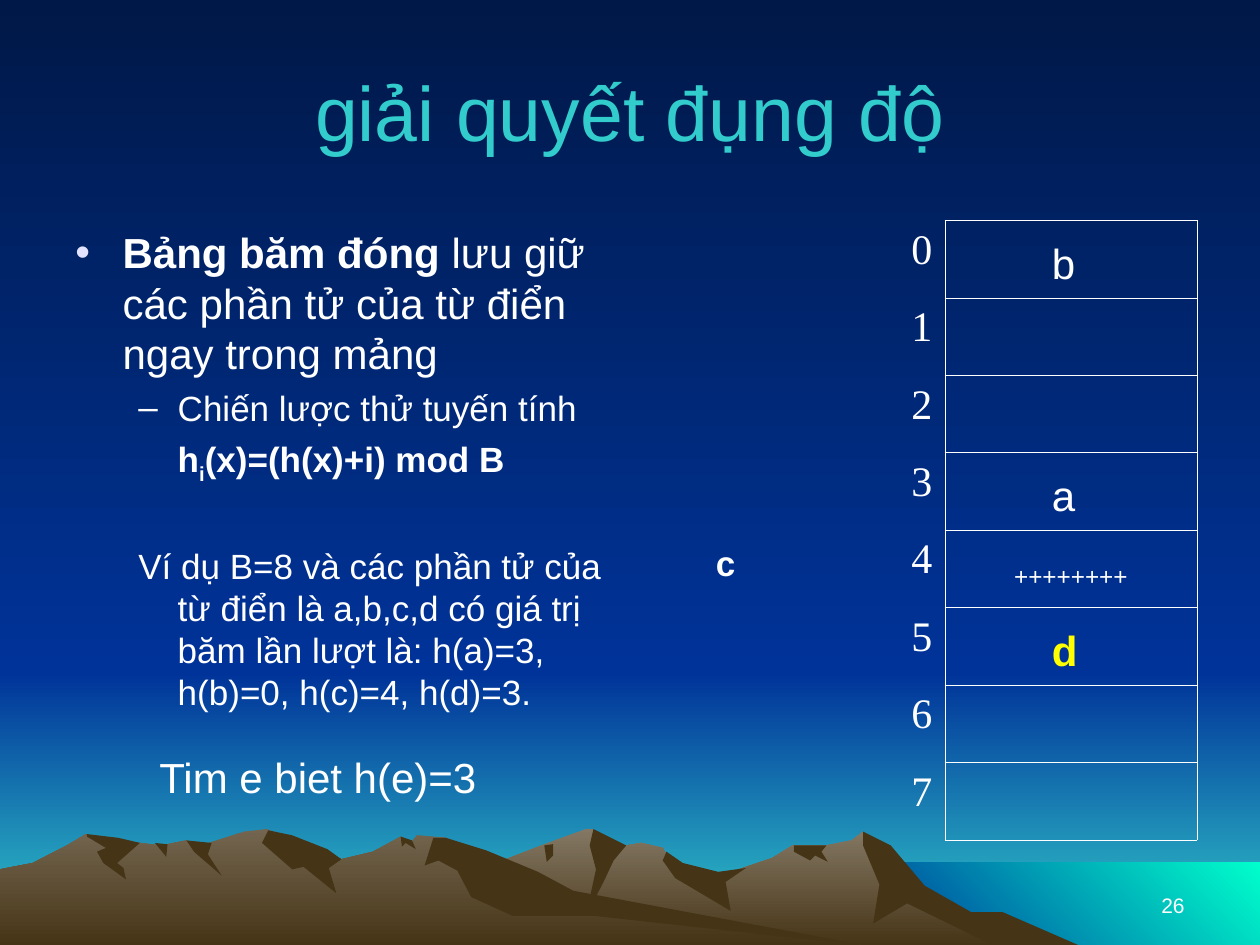
from dataclasses import dataclass

from lxml import etree
from pptx import Presentation
from pptx.dml.color import RGBColor
from pptx.enum.shapes import MSO_SHAPE
from pptx.enum.text import MSO_ANCHOR, PP_ALIGN
from pptx.oxml import parse_xml
from pptx.oxml.ns import nsdecls, qn
from pptx.util import Pt

RECTANGLE = MSO_SHAPE.RECTANGLE
LEFT, CENTER, RIGHT = PP_ALIGN.LEFT, PP_ALIGN.CENTER, PP_ALIGN.RIGHT
TOP, MIDDLE, BOTTOM = MSO_ANCHOR.TOP, MSO_ANCHOR.MIDDLE, MSO_ANCHOR.BOTTOM
DOWN, UP_RIGHT = 270, 45
TITLE_ONLY = 5
PLAIN_TABLE_STYLE = "{2D5ABB26-0587-4C30-8999-92F81FD0307C}"
COLORS = {
    "night": "001847", "blue": "003399", "teal": "33CCCC", "mint": "00FFCC",
    "rock": "463416", "sunlit": "847864", "haze": "73654F",
    "white": "FFFFFF", "yellow": "FFFF00", "bullet": "E3E3FF",
}

WIDTH, HEIGHT, MARGIN = 720, 540, 36
HORIZON = 384
SEA_LEFT, SEA_TOP = 492, 493

TABLE_LEFT, TABLE_TOP = 468, 126
NUMBER_WIDTH, SLOT_WIDTH = 72, 144
SLOT_COUNT, SLOT_HEIGHT = 8, 44.25
SLOT_TEXT_LEFT, SLOT_TEXT_DROP = 594, 6
STORED = {0: ("b", "white", False), 3: ("a", "white", False), 5: ("d", "yellow", True)}
COLLISION_ROW, COLLISION_MARK = 4, "++++++++"

MOUNTAIN_UNIT = Pt(0.72)
MOUNTAIN_FOOT = 751
FAR_SKYLINE = [
    (258, 751), (327, 709), (355, 698), (394, 685), (430, 671), (465, 658), (471, 658),
    (486, 673), (509, 669), (526, 673), (536, 690), (566, 697), (613, 681), (629, 671),
    (656, 671), (676, 667), (685, 660), (702, 671), (723, 698), (764, 723), (778, 727), (821, 751),
]
FAR_SHADOWS = {
    "east slope": [(685, 660), (707, 671), (734, 703), (771, 724), (796, 724), (858, 751),
                   (792, 752), (720, 717), (693, 733), (698, 702), (685, 671)],
    "main peak": [(471, 658), (497, 671), (487, 683), (479, 700), (465, 727), (473, 690), (468, 671)],
    "saddle": [(529, 676), (542, 685), (570, 692), (592, 689), (576, 700), (580, 723), (536, 697), (526, 683)],
    "east notch": [(630, 671), (656, 671), (652, 676), (657, 684), (647, 679), (643, 683), (630, 676)],
    "west notch": [(432, 671), (439, 670), (439, 679), (434, 684)],
}
NEAR_SKYLINE = [
    (0, 690), (26, 685), (53, 671), (68, 662), (94, 671), (111, 669), (128, 671), (148, 667),
    (160, 671), (194, 660), (212, 658), (223, 663), (236, 681), (260, 676), (271, 682), (296, 676),
    (318, 664), (327, 668), (331, 663), (354, 665), (432, 712), (667, 748), (690, 751),
]
NEAR_SHADOWS = {
    "main peak": [(213, 659), (232, 663), (260, 674), (271, 682), (261, 689), (267, 709),
                  (241, 688), (232, 690), (208, 669)],
    "east slope": [(344, 665), (354, 665), (386, 675), (427, 692), (455, 707), (690, 751), (472, 727),
                   (407, 727), (374, 712), (363, 691), (348, 683), (337, 687)],
    "east notch": [(318, 664), (327, 667), (330, 674), (322, 669), (319, 672)],
    "middle notch": [(148, 667), (168, 669), (165, 678), (176, 695), (154, 676)],
    "small notch": [(123, 669), (133, 670), (132, 680)],
    "west peak": [(69, 662), (94, 665), (111, 669), (93, 685), (98, 689), (100, 698), (82, 685),
                  (77, 676), (84, 673), (69, 664)],
}


@dataclass
class Piece:
    text: str
    bold: bool = False
    subscript: bool = False


@dataclass
class BodyLine:
    pieces: list
    size: int = 20
    margin: float = 58.5
    indent: float = -22.5
    space_before: float = 5
    bullet: str = ""
    bullet_color: str = "white"


BODY = [
    BodyLine([Piece("Bảng băm đóng", bold=True), Piece(" lưu giữ các phần tử của từ điển ngay trong mảng")],
             size=24, margin=27, indent=-27, space_before=0, bullet="•", bullet_color="bullet"),
    BodyLine([Piece("Chiến lược thử tuyến tính")], bullet="–"),
    BodyLine([Piece("h", bold=True), Piece("i", bold=True, subscript=True),
              Piece("(x)=(h(x)+i) mod B", bold=True)], indent=0),
    BodyLine([Piece("Ví dụ B=8 và các phần tử của từ điển là a,b,c,d có giá trị băm lần lượt là: "
                    "h(a)=3, h(b)=0, h(c)=4, h(d)=3.")], space_before=34),
]


def color(name):
    return RGBColor.from_string(COLORS[name])


def paint(fill, names, angle=DOWN):
    if len(names) == 1:
        fill.solid()
        fill.fore_color.rgb = color(names[0])
        return
    fill.gradient()
    fill.gradient_angle = angle
    for stop, name in zip(fill.gradient_stops, names):
        stop.color.rgb = color(name)


def finish_shape(shape, names, angle=DOWN):
    shape.shadow.inherit = False
    shape.line.fill.background()
    paint(shape.fill, names, angle)


def add_panel(slide, left, top, right, bottom, names, angle=DOWN):
    shape = slide.shapes.add_shape(RECTANGLE, Pt(left), Pt(top), Pt(right - left), Pt(bottom - top))
    finish_shape(shape, names, angle)


def add_outline(slide, points, names):
    builder = slide.shapes.build_freeform(*points[0], scale=MOUNTAIN_UNIT)
    builder.add_line_segments(points[1:], close=True)
    finish_shape(builder.convert_to_shape(), names)


def add_mountain_range(slide, skyline, shadows, light):
    foot = [(skyline[-1][0], MOUNTAIN_FOOT), (skyline[0][0], MOUNTAIN_FOOT)]
    add_outline(slide, skyline + foot, (light, "rock"))
    for shadow in shadows.values():
        add_outline(slide, shadow, ("rock",))


def add_scenery(slide):
    paint(slide.background.fill, ("night", "blue"))
    add_panel(slide, 0, HORIZON, WIDTH, HEIGHT, ("blue", "teal"))
    add_panel(slide, 0, 0, WIDTH, HORIZON, ("night", "blue"))
    add_panel(slide, SEA_LEFT, SEA_TOP, WIDTH, HEIGHT, ("blue", "mint"), UP_RIGHT)
    add_mountain_range(slide, FAR_SKYLINE, FAR_SHADOWS, "sunlit")
    add_mountain_range(slide, NEAR_SKYLINE, NEAR_SHADOWS, "haze")


def style_run(run, size, name="white", bold=False, subscript=False, font="Arial"):
    run.font.name = font
    run.font.size = Pt(size)
    run.font.bold = bold
    run.font.color.rgb = color(name)
    if subscript:
        run.font._element.set("baseline", "-25000")


def write_line(frame, text, size, align=LEFT, **style):
    frame.text = text
    paragraph = frame.paragraphs[0]
    paragraph.alignment = align
    style_run(paragraph.runs[0], size, **style)


def add_text_box(slide, left, top, width, height):
    box = slide.shapes.add_textbox(Pt(left), Pt(top), Pt(width), Pt(height))
    box.text_frame.word_wrap = True
    return box.text_frame


def add_label(slide, text, left, top, width, size=24, align=LEFT, anchor=TOP, **style):
    frame = add_text_box(slide, left, top, width, 36)
    frame.vertical_anchor = anchor
    write_line(frame, text, size, align, **style)


def format_title(slide):
    title = slide.shapes.title
    title.left, title.top = Pt(MARGIN), Pt(18)
    title.width, title.height = Pt(WIDTH - 2 * MARGIN), Pt(90)
    title.text_frame.vertical_anchor = MIDDLE
    write_line(title.text_frame, "giải quyết đụng độ", 44, CENTER, name="teal")
    title.element.getparent().append(title.element)


def set_bullet(properties, line):
    bullet_fill = etree.SubElement(properties, qn("a:buClr"))
    etree.SubElement(bullet_fill, qn("a:srgbClr"), val=COLORS[line.bullet_color])
    etree.SubElement(properties, qn("a:buFont"), typeface="Arial")
    etree.SubElement(properties, qn("a:buChar"), char=line.bullet)


def add_body(slide):
    frame = add_text_box(slide, MARGIN, TABLE_TOP, 318, SLOT_COUNT * SLOT_HEIGHT)
    for index, line in enumerate(BODY):
        paragraph = frame.add_paragraph() if index else frame.paragraphs[0]
        properties = paragraph._p.get_or_add_pPr()
        properties.set("marL", str(Pt(line.margin)))
        properties.set("indent", str(Pt(line.indent)))
        if line.bullet:
            set_bullet(properties, line)
        paragraph.space_before = Pt(line.space_before)
        for piece in line.pieces:
            run = paragraph.add_run()
            run.text = piece.text
            style_run(run, line.size, bold=piece.bold, subscript=piece.subscript)


def border_cell(cell, sides):
    properties = cell._tc.get_or_add_tcPr()
    for position, side in enumerate(sides):
        properties.insert(position, parse_xml(
            f'<a:ln{side} {nsdecls("a")} w="{Pt(0.45)}"><a:solidFill>'
            f'<a:srgbClr val="{COLORS["white"]}"/></a:solidFill></a:ln{side}>'))


def add_hash_table(slide):
    frame = slide.shapes.add_table(SLOT_COUNT, 2, Pt(TABLE_LEFT), Pt(TABLE_TOP),
                                   Pt(NUMBER_WIDTH + SLOT_WIDTH), Pt(SLOT_COUNT * SLOT_HEIGHT))
    table = frame.table
    table._tbl.tblPr.find(qn("a:tableStyleId")).text = PLAIN_TABLE_STYLE
    table.first_row = table.horz_banding = False
    table.columns[0].width, table.columns[1].width = Pt(NUMBER_WIDTH), Pt(SLOT_WIDTH)
    for index, row in enumerate(table.rows):
        row.height = Pt(SLOT_HEIGHT)
        number, slot = row.cells
        write_line(number.text_frame, str(index), 24, RIGHT, font="Times New Roman")
        for cell, sides in ((number, "R"), (slot, "LRTB")):
            cell.fill.background()
            border_cell(cell, sides)
    write_line(table.cell(COLLISION_ROW, 1).text_frame, COLLISION_MARK, 24, CENTER, subscript=True)


def add_stored_elements(slide):
    for row, (text, name, bold) in STORED.items():
        top = TABLE_TOP + row * SLOT_HEIGHT + SLOT_TEXT_DROP
        add_label(slide, text, SLOT_TEXT_LEFT, top, 48, name=name, bold=bold)


def main():
    presentation = Presentation()
    presentation.slide_width, presentation.slide_height = Pt(WIDTH), Pt(HEIGHT)
    slide = presentation.slides.add_slide(presentation.slide_layouts[TITLE_ONLY])
    add_scenery(slide)
    format_title(slide)
    add_body(slide)
    add_hash_table(slide)
    add_stored_elements(slide)
    add_label(slide, "Tim e biet h(e)=3", 84, 426, 306)
    add_label(slide, "c", 402, 306, 54, size=20, bold=True)
    add_label(slide, "26", 516, 492, 168, size=12, align=RIGHT, anchor=BOTTOM)
    presentation.save("out.pptx")


if __name__ == "__main__":
    main()
